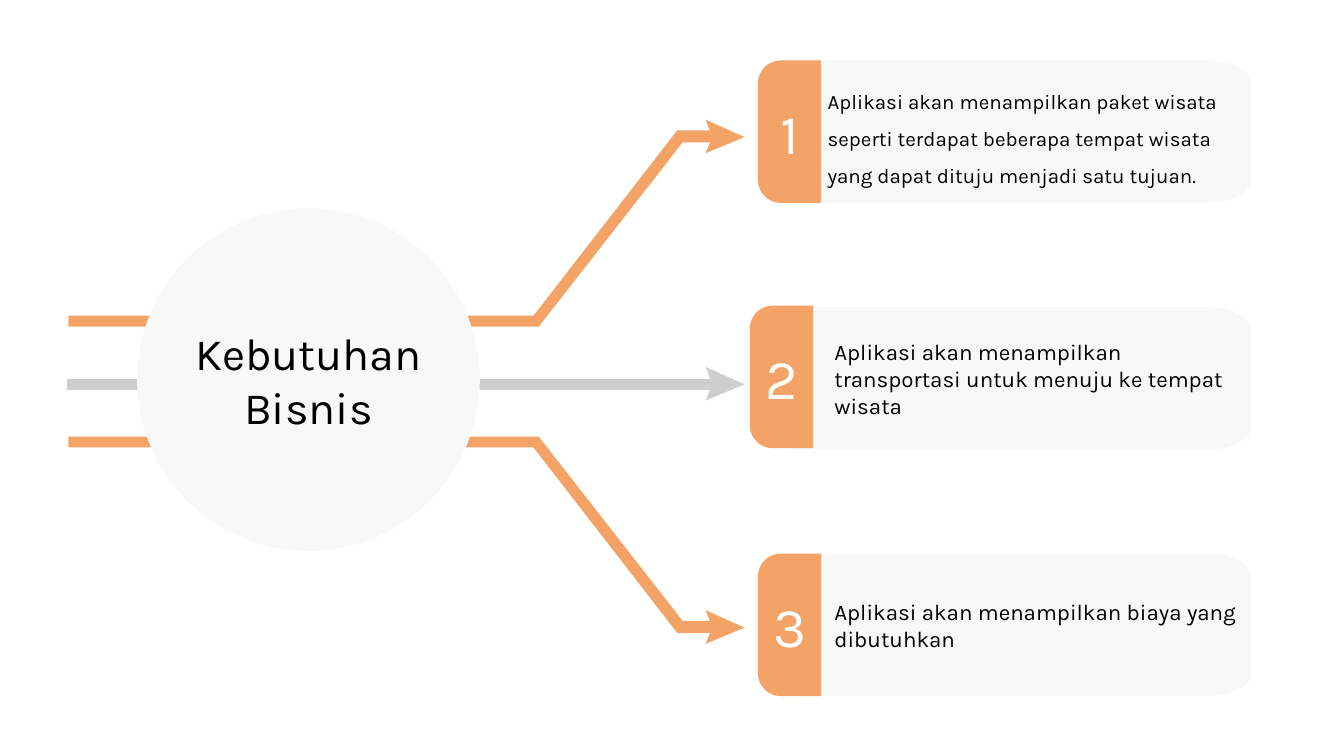
import math

import pptx
import pptx.dml.color
import pptx.enum.shapes
import pptx.enum.text
import pptx.util

RGBColor = pptx.dml.color.RGBColor
ORANGE = RGBColor(0xF2, 0xA3, 0x65)
GREY = RGBColor(0xCE, 0xCE, 0xCE)
PALE = RGBColor(0xF7, 0xF9, 0xF9)
BLACK = RGBColor(0, 0, 0)
WHITE = RGBColor(0xFF, 0xFF, 0xFF)
CENTER = pptx.enum.text.PP_ALIGN.CENTER
LEFT = pptx.enum.text.PP_ALIGN.LEFT
FONT = "Karla"
inches = pptx.util.Inches

TOPIC = "Kebutuhan Bisnis"
NEEDS = [
    {"text": "Aplikasi akan menampilkan paket wisata seperti terdapat beberapa "
             "tempat wisata yang dapat dituju menjadi satu tujuan.",
     "size": 11, "spacing": 1.5, "text_shift": -0.05, "badge_shift": (0, 0)},
    {"text": "Aplikasi akan menampilkan transportasi untuk menuju ke tempat wisata",
     "size": 12, "spacing": 1, "text_shift": 0, "badge_shift": (-0.06, -0.01)},
    {"text": "Aplikasi akan menampilkan biaya yang dibutuhkan",
     "size": 12, "spacing": 1, "text_shift": 0, "badge_shift": (0, 0)},
]

SLIDE_WIDTH = 10
SLIDE_HEIGHT = SLIDE_WIDTH * 9 / 16
PANEL_LEFT, PANEL_TOP, LAST_PANEL_TOP = 5.64, 0.45, 4.12
ROW_STEP = (LAST_PANEL_TOP - PANEL_TOP) / (len(NEEDS) - 1)
PANEL_WIDTH, PANEL_HEIGHT = 3.67, 1.06
BADGE_WIDTH, TEXT_WIDTH = 0.47, 3.2
CORNER_HEIGHT = 0.17
MIRROR_Y = 2.84
ARROW_TIP = 5.54
UPPER_BRANCH = [(0.51, 2.35), (3.97, 2.35), (5.04, 0.97), (5.34, 0.97),
                (5.34, 1.06), (5.08, 1.06), (4.01, 2.43), (0.51, 2.43)]
MIDDLE_BRANCH = [(0.5, 2.82), (5.34, 2.82), (5.34, 2.9), (0.5, 2.9)]


def paint(shape, color):
    shape.fill.solid()
    shape.fill.fore_color.rgb = color
    shape.line.fill.background()
    shape.shadow.inherit = False


def add_outline(slide, points, color):
    corners = [(inches(x), inches(y)) for x, y in points]
    builder = slide.shapes.build_freeform(*corners[0], scale=1.0)
    builder.add_line_segments(corners[1:], close=True)
    outline = builder.convert_to_shape()
    paint(outline, color)
    return outline


def rounded(left, top, width, height, left_radius, right_radius):
    right, bottom = left + width, top + height
    corners = [(left, top, 1, 1, left_radius, 180), (right, top, -1, 1, right_radius, 270),
               (right, bottom, -1, -1, right_radius, 0), (left, bottom, 1, -1, left_radius, 90)]
    points = []
    for x, y, toward_x, toward_y, radius, start in corners:
        if not radius:
            points.append((x, y))
            continue
        for step in range(13):
            angle = math.radians(start + 7.5 * step)
            points.append((x + radius * (toward_x + math.cos(angle)),
                           y + CORNER_HEIGHT * (toward_y + math.sin(angle))))
    return points


def write(shape, text, size, color, align, spacing=1, inset=0.1):
    frame = shape.text_frame
    frame.word_wrap = True
    frame.vertical_anchor = pptx.enum.text.MSO_ANCHOR.MIDDLE
    frame.margin_left = frame.margin_right = inches(inset)
    frame.margin_top = frame.margin_bottom = inches(inset)
    paragraph = frame.paragraphs[0]
    paragraph.alignment = align
    paragraph.line_spacing = spacing
    run = paragraph.add_run()
    run.text = text
    run.font.name = FONT
    run.font.size = pptx.util.Pt(size)
    run.font.color.rgb = color


def add_branch(slide, shaft, tip_y, color):
    add_outline(slide, shaft, color)
    back = ARROW_TIP - 0.29
    head = [(back, tip_y - 0.13), (ARROW_TIP, tip_y),
            (back, tip_y + 0.12), (back + 0.05, tip_y)]
    add_outline(slide, head, color)


def add_need(slide, row, need):
    top = PANEL_TOP + row * ROW_STEP
    panel = rounded(PANEL_LEFT, top, PANEL_WIDTH, PANEL_HEIGHT, 0.33, 0.33)
    add_outline(slide, panel, PALE)
    shift_x, shift_y = need["badge_shift"]
    badge = add_outline(slide, rounded(PANEL_LEFT + shift_x, top + shift_y,
                                       BADGE_WIDTH, PANEL_HEIGHT, 0.17, 0), ORANGE)
    write(badge, str(row + 1), 30, WHITE, CENTER)
    description = slide.shapes.add_textbox(
        inches(PANEL_LEFT + BADGE_WIDTH + need["text_shift"]), inches(top),
        inches(TEXT_WIDTH), inches(PANEL_HEIGHT))
    write(description, need["text"], need["size"], BLACK, LEFT, need["spacing"])


def main():
    deck = pptx.Presentation()
    deck.slide_width, deck.slide_height = inches(SLIDE_WIDTH), inches(SLIDE_HEIGHT)
    slide = deck.slides.add_slide(deck.slide_layouts[6])

    lower_branch = [(x, 2 * MIRROR_Y - y) for x, y in UPPER_BRANCH]
    add_branch(slide, MIDDLE_BRANCH, 2.86, GREY)
    add_branch(slide, UPPER_BRANCH, 1.02, ORANGE)
    add_branch(slide, lower_branch, 4.67, ORANGE)

    topic = slide.shapes.add_shape(pptx.enum.shapes.MSO_SHAPE.OVAL, inches(1.02),
                                   inches(1.55), inches(2.55), inches(2.55))
    paint(topic, PALE)
    write(topic, TOPIC, 24, BLACK, CENTER, inset=0)

    for row, need in enumerate(NEEDS):
        add_need(slide, row, need)
    deck.save("out.pptx")


if __name__ == "__main__":
    main()
